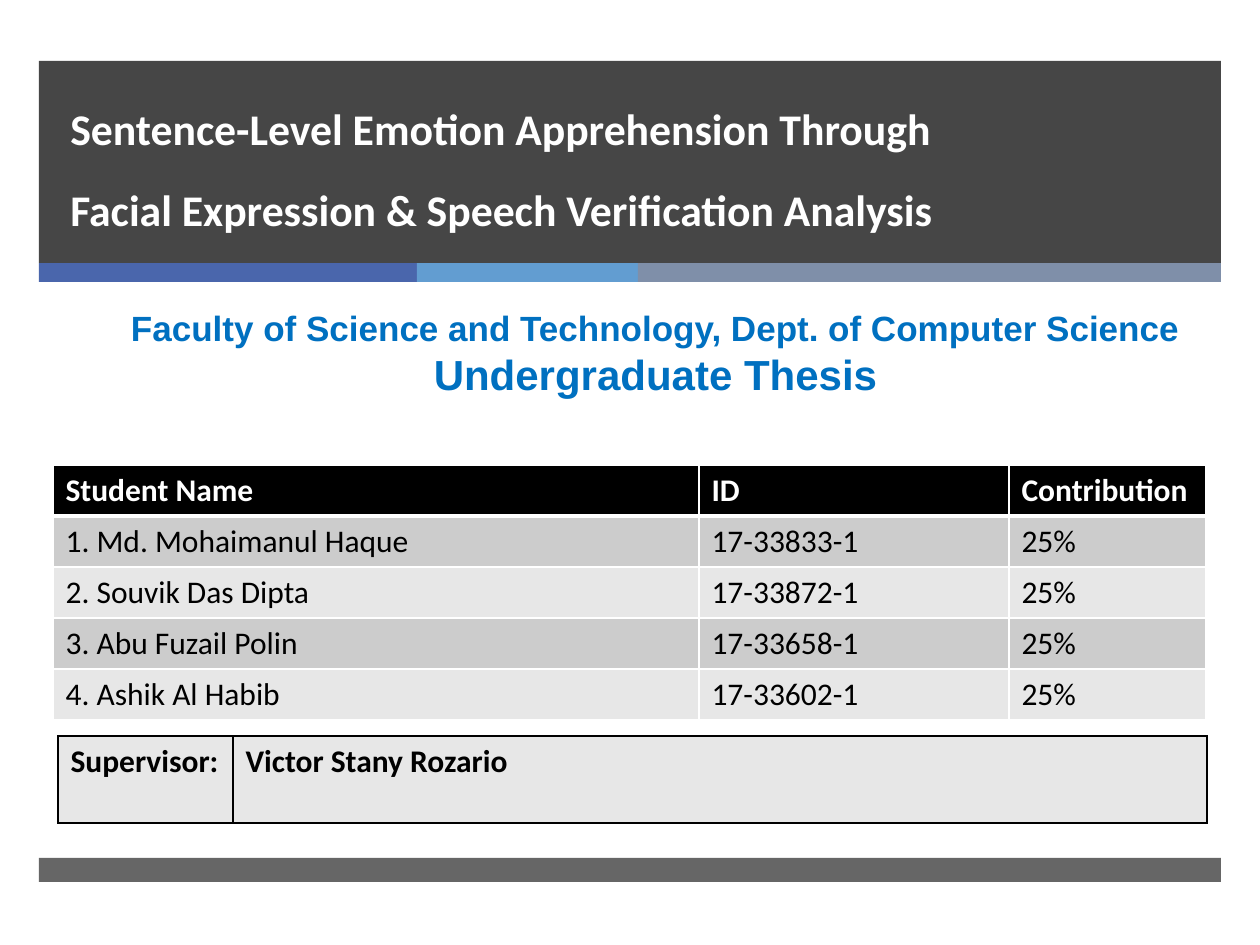
from lxml import etree
from pptx import Presentation
from pptx.dml.color import RGBColor
from pptx.enum.shapes import MSO_SHAPE
from pptx.enum.text import MSO_ANCHOR, PP_ALIGN
from pptx.oxml.ns import qn
from pptx.util import Emu, Pt

RECT = MSO_SHAPE.RECTANGLE
TOP, BOTTOM = MSO_ANCHOR.TOP, MSO_ANCHOR.BOTTOM
LEFT, CENTER = PP_ALIGN.LEFT, PP_ALIGN.CENTER

SCALE = 914400 / 126
WHITE = RGBColor(0xFF, 0xFF, 0xFF)
BLACK = RGBColor(0x00, 0x00, 0x00)
DARK = RGBColor(0x26, 0x26, 0x26)
INDIGO = RGBColor(0x4A, 0x66, 0xAC)
SKY = RGBColor(0x62, 0x9D, 0xD1)
SLATE = RGBColor(0x7F, 0x8F, 0xA9)
BLUE = RGBColor(0x00, 0x70, 0xC0)
GREY = RGBColor(0xCC, 0xCC, 0xCC)
PALE = RGBColor(0xE7, 0xE7, 0xE7)

TITLE = ("Sentence-Level Emotion Apprehension Through "
         "Facial Expression & Speech Verification Analysis")
STUDENTS = [
    ("Student Name", "ID", "Contribution"),
    ("1. Md. Mohaimanul Haque", "17-33833-1", "25%"),
    ("2. Souvik Das Dipta", "17-33872-1", "25%"),
    ("3. Abu Fuzail Polin", "17-33658-1", "25%"),
    ("4. Ashik Al Habib", "17-33602-1", "25%"),
]


def px(n):
    return Emu(round(n * SCALE))


def add_bar(slide, box, color, alpha=100):
    bar = slide.shapes.add_shape(RECT, *map(px, box))
    bar.shadow.inherit = False
    bar.fill.solid()
    bar.fill.fore_color.rgb = color
    bar.line.fill.background()
    if alpha < 100:
        tint = bar.fill._xPr.find(".//" + qn("a:srgbClr"))
        etree.SubElement(tint, qn("a:alpha"), val=str(alpha * 1000))


def add_run(para, text, size, color, font="Calibri", bold=True):
    run = para.add_run()
    run.text = text
    run.font.size = Pt(size)
    run.font.name = font
    run.font.bold = bold
    run.font.color.rgb = color


def add_text(slide, box, lines, color, font, align=LEFT, anchor=TOP, pitch=None):
    frame = slide.shapes.add_textbox(*map(px, box)).text_frame
    frame.word_wrap = True
    frame.vertical_anchor = anchor
    for i, (text, size) in enumerate(lines):
        para = frame.add_paragraph() if i else frame.paragraphs[0]
        para.alignment = align
        if pitch:
            para.line_spacing = Pt(pitch)
        add_run(para, text, size, color, font)


def set_edges(cell, color, widths):
    # Edges must come before the fill, in the order left, right, top, bottom
    props = cell._tc.get_or_add_tcPr()
    for i, (side, width) in enumerate(zip("LRTB", widths)):
        line = etree.Element(qn("a:ln" + side), w=str(Pt(width)))
        fill = etree.SubElement(line, qn("a:solidFill"))
        etree.SubElement(fill, qn("a:srgbClr"), val=str(color))
        props.insert(i, line)


def add_grid(slide, left, top, cols, height, rows, style):
    """Add a table; style(row) gives fill, ink, bold, edge and edge widths."""
    shape = slide.shapes.add_table(len(rows), len(cols), px(left), px(top),
                                   px(sum(cols)), px(height * len(rows)))
    table = shape.table
    for col, width in zip(table.columns, cols):
        col.width = px(width)
    for r, texts in enumerate(rows):
        table.rows[r].height = px(height)
        fill, ink, bold, edge, widths = style(r)
        for c, text in enumerate(texts):
            cell = table.cell(r, c)
            cell.fill.solid()
            cell.fill.fore_color.rgb = fill
            set_edges(cell, edge, widths)
            add_run(cell.text_frame.paragraphs[0], text, 18, ink, bold=bold)


def student_style(row):
    if row == 0:
        return BLACK, WHITE, True, WHITE, (1, 1, 1, 3)
    above = 3 if row == 1 else 1
    return (GREY if row % 2 else PALE), BLACK, False, WHITE, (1, 1, above, 1)


def mentor_style(row):
    return PALE, BLACK, True, BLACK, (1, 1, 1, 1)


def main():
    prs = Presentation()
    prs.slide_width, prs.slide_height = px(1260), px(945)
    slide = prs.slides.add_slide(prs.slide_layouts[6])

    # Title band, colour strip and footer
    add_bar(slide, (39, 61, 1182, 202), DARK, 85)
    left = 39
    for width, color in ((378, INDIGO), (221, SKY), (583, SLATE)):
        add_bar(slide, (left, 263, width, 19), color)
        left += width
    add_bar(slide, (39, 858, 1182, 24), DARK, 70)

    # Headings
    add_text(slide, (58, 62, 956, 179), [(TITLE, 25)], WHITE, "Calibri",
             anchor=BOTTOM, pitch=46)
    add_text(slide, (34, 300, 1243, 106),
             [("Faculty of Science and Technology, Dept. of Computer Science", 20),
              ("Undergraduate Thesis", 24)], BLUE, "Arial", CENTER)

    # Students and supervisor
    add_grid(slide, 53, 465, (646, 310, 197), 51, STUDENTS, student_style)
    add_grid(slide, 58, 736, (175, 974), 87,
             [("Supervisor:", "Victor Stany Rozario")], mentor_style)

    prs.save("out.pptx")


if __name__ == "__main__":
    main()
